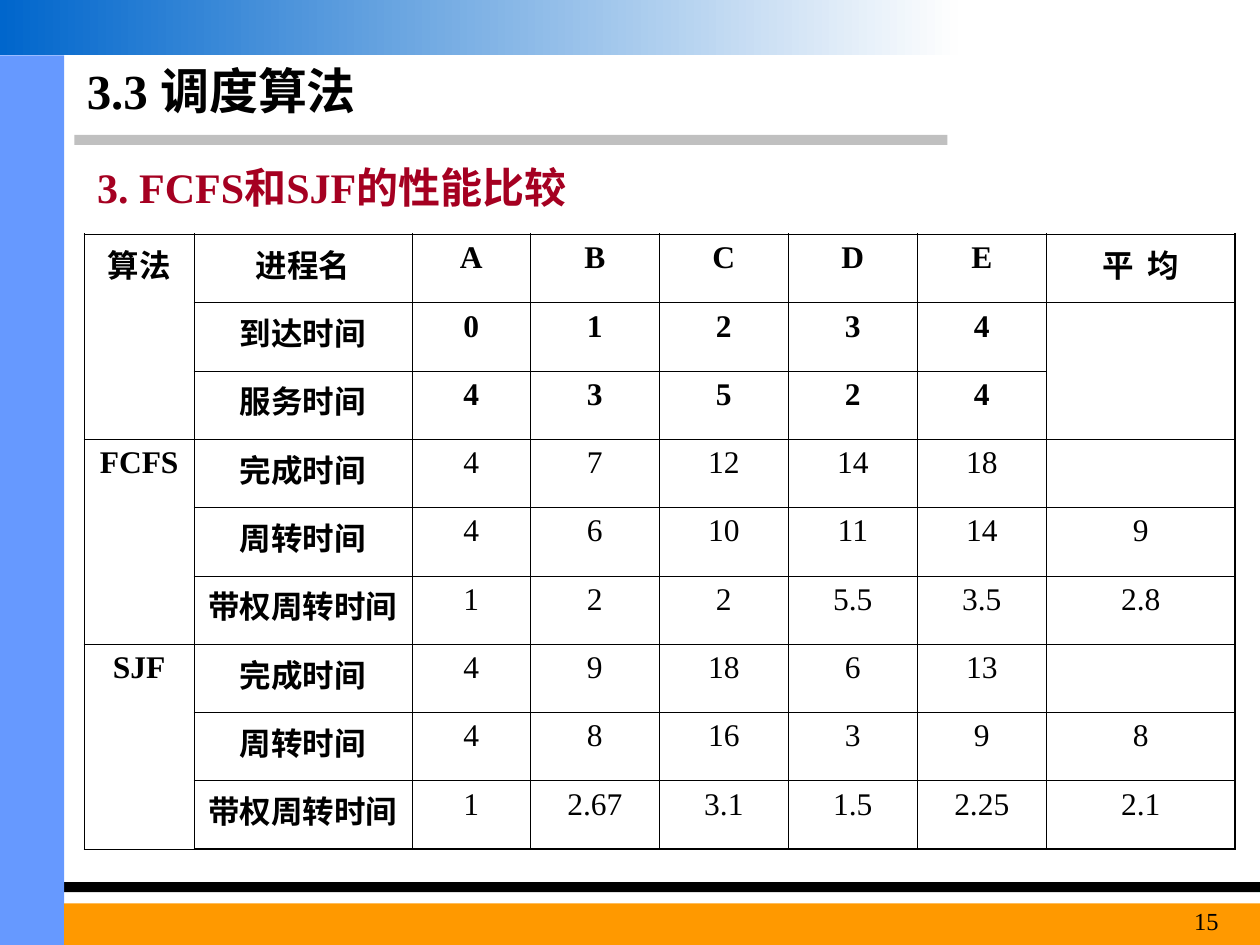
from pptx import Presentation
from pptx.dml.color import RGBColor
from pptx.enum.shapes import MSO_SHAPE
from pptx.enum.text import MSO_ANCHOR, PP_ALIGN
from pptx.oxml import parse_xml
from pptx.oxml.ns import nsdecls
from pptx.util import Inches, Pt

HUES = {"ink": "000000", "wine": "A50021", "rule": "C0C0C0", "side": "6699FF",
        "foot": "FF9900", "pale": "FEFEFE", "deep": "0066CC"}


class Deck:
    """Style and current slide, with lengths in a grid of 100 columns by 75 rows."""

    face = "Times New Roman"
    thin, thick = 0.45, 1.08

    def __init__(self):
        self.show = Presentation()
        self.show.slide_width, self.show.slide_height = self.span(100, 75)
        self.slide = self.show.slides.add_slide(self.show.slide_layouts[6])

    def span(self, *cells):
        return [Inches(cell / 10) for cell in cells]

    def hue(self, name):
        return RGBColor.from_string(HUES[name])

    def bar(self, box, *names):
        bar = self.slide.shapes.add_shape(MSO_SHAPE.RECTANGLE, *self.span(*box))
        bar.shadow.inherit = False
        bar.line.fill.background()
        if len(names) == 1:
            bar.fill.solid()
            bar.fill.fore_color.rgb = self.hue(names[0])
        else:
            bar.fill.gradient()
            bar.fill.gradient_angle = 180
            for stop, name in zip(bar.fill.gradient_stops, names):
                stop.color.rgb = self.hue(name)

    def style(self, para, size, bold=False, name="ink", align=PP_ALIGN.LEFT, gap=0):
        para.alignment = align
        para.space_before = Pt(gap)
        font = para.font
        font.name, font.size, font.bold = self.face, Pt(size), bold
        font.color.rgb = self.hue(name)

    def text(self, box, words, size, anchor=MSO_ANCHOR.TOP, **look):
        frame = self.slide.shapes.add_textbox(*self.span(*box)).text_frame
        frame.word_wrap = True
        frame.vertical_anchor = anchor
        frame.text = words
        self.style(frame.paragraphs[0], size, **look)

    def edge(self, cell, side, width):
        cell._tc.get_or_add_tcPr().append(parse_xml(
            f'<a:ln{side} {nsdecls("a")} w="{Pt(width)}"><a:solidFill>'
            f'<a:srgbClr val="{HUES["ink"]}"/></a:solidFill></a:ln{side}>'))

    def table(self, box, wide, data, bold, joins):
        rows, cols = len(data), len(wide)
        frame = self.slide.shapes.add_table(rows, cols, *self.span(*box))
        table = frame.table
        table.first_row = table.horz_banding = False
        for col, width in zip(table.columns, self.span(*wide)):
            col.width = width
        for r, line in enumerate(data):
            for c, words in enumerate(line):
                cell = table.cell(r, c)
                cell.text = words
                self.style(cell.text_frame.paragraphs[0], 18, bold(r, c),
                           align=PP_ALIGN.CENTER, gap=4.5)
                outer = {"L": c == 0, "R": c == cols - 1,
                         "T": r == 0, "B": r == rows - 1}
                for side, far in outer.items():
                    self.edge(cell, side, self.thick if far else self.thin)
                cell.fill.background()
        for top, last, col in joins:
            table.cell(top, col).merge(table.cell(last, col))

    def save(self):
        self.show.save("out.pptx")


DATA = [line.split("|") for line in (
    "算法|进程名|A|B|C|D|E|平  均",
    "|到达时间|0|1|2|3|4|",
    "|服务时间|4|3|5|2|4|",
    "FCFS|完成时间|4|7|12|14|18|",
    "|周转时间|4|6|10|11|14|9",
    "|带权周转时间|1|2|2|5.5|3.5|2.8",
    "SJF|完成时间|4|9|18|6|13|",
    "|周转时间|4|8|16|3|9|8",
    "|带权周转时间|1|2.67|3.1|1.5|2.25|2.1",
)]

deck = Deck()
deck.bar((5.9, 10.7, 69.3, 0.8), "rule")
deck.bar((0, 70, 100, 0.8), "ink")
deck.bar((0, 4.4, 5.1, 70.6), "side")
deck.bar((5.1, 71.7, 94.9, 3.3), "foot")
deck.bar((0, 0, 76, 4.4), "pale", "deep")
deck.text((5.9, 4.4, 68.5, 5.5), "3.3 调度算法", 28, MSO_ANCHOR.MIDDLE, bold=True)
deck.text((5.9, 12.3, 79.5, 5), " 3. FCFS和SJF的性能比较", 24,
          bold=True, name="wine", gap=15)
deck.table((6.7, 18.6, 91.4, 48.8), [8.7, 17.3, 9.4] + [10.24] * 4 + [15], DATA,
           bold=lambda r, c: r < 3 or c < 2,
           joins=[(0, 2, 0), (3, 5, 0), (6, 8, 0), (1, 2, 7)])
deck.text((88.6, 71.4, 9.1, 3.6), "15", 14, align=PP_ALIGN.RIGHT)
deck.save()
